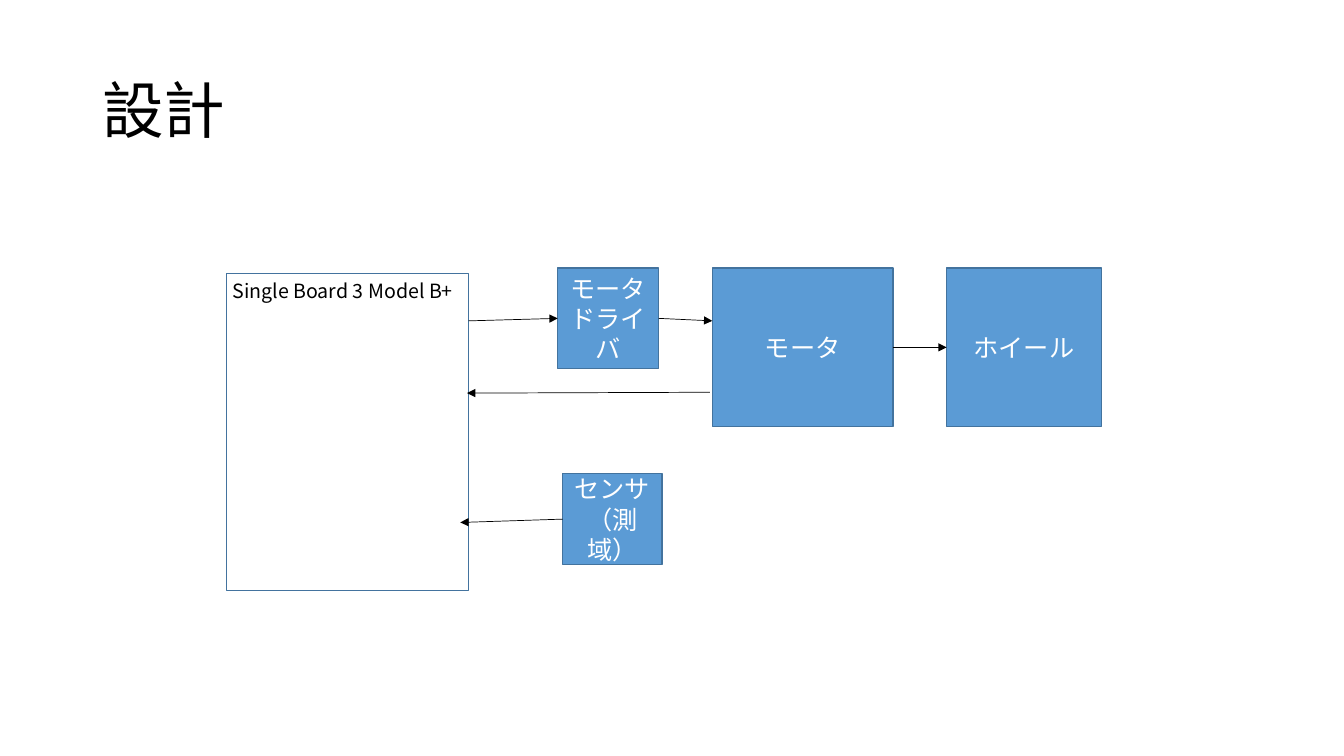
from dataclasses import dataclass

from lxml import etree
from pptx import Presentation
from pptx import util as u
from pptx.dml.color import RGBColor
from pptx.enum import shapes, text
from pptx.oxml.ns import qn


@dataclass(frozen=True)
class Theme:
    font: str = "Noto Sans CJK JP"
    ink: str = "000000"
    paper: str = "FFFFFF"
    fill: str = "5B9BD5"
    edge: str = "43739E"
    title: int = 44
    body: int = 18
    label: int = 14


THEME = Theme()
WIDE, HIGH = u.Emu(12192000), u.Emu(6858000)
COLS = 16
CELL = WIDE / COLS  # square cells, 16 columns by 9 rows
TOP = 3.19  # row where the motor chain starts
LEFT, RIGHT = 1, 3  # connection sites of a rectangle


def grid(*cells):
    return [u.Emu(round(n * CELL)) for n in cells]


def write(frame, words, size, color, align, anchor):
    frame.word_wrap = True
    frame.vertical_anchor = anchor
    frame.text = words
    para = frame.paragraphs[0]
    para.alignment = align
    for run in para.runs:
        run.font.size = u.Pt(size)
        run.font.name = THEME.font
        run.font.color.rgb = RGBColor.from_string(color)
        east = etree.SubElement(run.font._element, qn("a:ea"))
        east.set("typeface", THEME.font)
    return para


def note(slide, area, words, size, anchor):
    box = slide.shapes.add_textbox(*grid(*area))
    return write(box.text_frame, words, size, THEME.ink,
                 text.PP_ALIGN.LEFT, anchor)


def block(slide, area, words=""):
    """Filled box with centred words, or an open frame without words."""
    box = slide.shapes.add_shape(shapes.MSO_SHAPE.RECTANGLE, *grid(*area))
    box.shadow.inherit = False
    box.line.color.rgb = RGBColor.from_string(THEME.edge)
    box.line.width = u.Pt(1)
    if words:
        box.fill.solid()
        box.fill.fore_color.rgb = RGBColor.from_string(THEME.fill)
        write(box.text_frame, words, THEME.body, THEME.paper,
              text.PP_ALIGN.CENTER, text.MSO_ANCHOR.MIDDLE)
    else:
        box.fill.background()
    return box


def arrow(slide, start, end):
    """Each end is a grid point, or a box with the side to join."""
    free = [(0, 0) if hasattr(p[0], "shape_id") else p for p in (start, end)]
    line = slide.shapes.add_connector(
        shapes.MSO_CONNECTOR.STRAIGHT, *grid(*free[0], *free[1]))
    if hasattr(start[0], "shape_id"):
        line.begin_connect(*start)
    if hasattr(end[0], "shape_id"):
        line.end_connect(*end)
    line.line.color.rgb = RGBColor.from_string(THEME.ink)
    line.line.width = u.Pt(0.5)
    head = etree.SubElement(line.line._get_or_add_ln(), qn("a:tailEnd"))
    head.set("type", "triangle")
    etree.SubElement(line._element.spPr, qn("a:effectLst"))


def main():
    deck = Presentation()
    deck.slide_width, deck.slide_height = WIDE, HIGH
    slide = deck.slides.add_slide(deck.slide_layouts[6])

    # Title
    title = note(slide, (1.1, 0.48, 13.8, 1.74), "設計", THEME.title,
                 text.MSO_ANCHOR.MIDDLE)
    title.line_spacing = 0.9

    # Parts of the robot
    block(slide, (2.7, 3.26, 2.88, 3.77))
    motor = block(slide, (8.48, TOP, 2.15, 1.89), "モータ")
    sensor = block(slide, (6.7, 5.64, 1.18, 1.08), "センサ\v（測域）")
    wheel = block(slide, (11.27, TOP, 1.84, 1.89), "ホイール")
    driver = block(slide, (6.64, TOP, 1.2, 1.2), "モータドライバ")

    # Signals
    arrow(slide, (5.58, 3.82), (driver, LEFT))
    arrow(slide, (driver, RIGHT), (8.48, 3.82))
    arrow(slide, (8.45, 4.67), (5.56, 4.68))
    arrow(slide, (motor, RIGHT), (wheel, LEFT))
    arrow(slide, (sensor, LEFT), (5.48, 6.22))

    # Name of the control board
    note(slide, (2.65, 3.26, 3.07, 0.41), "Single Board 3 Model B+",
         THEME.label, text.MSO_ANCHOR.TOP)

    deck.save("out.pptx")


if __name__ == "__main__":
    main()
